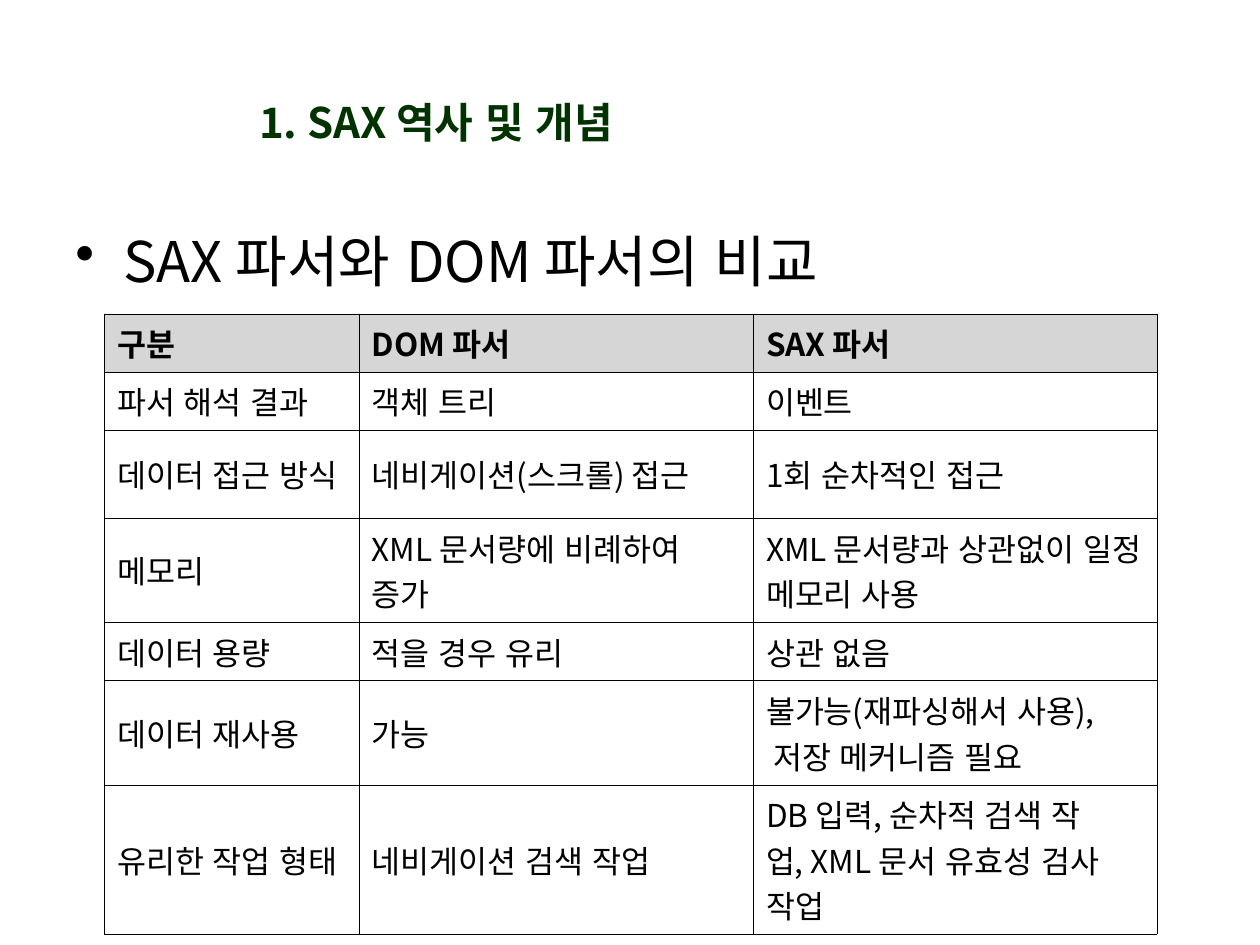
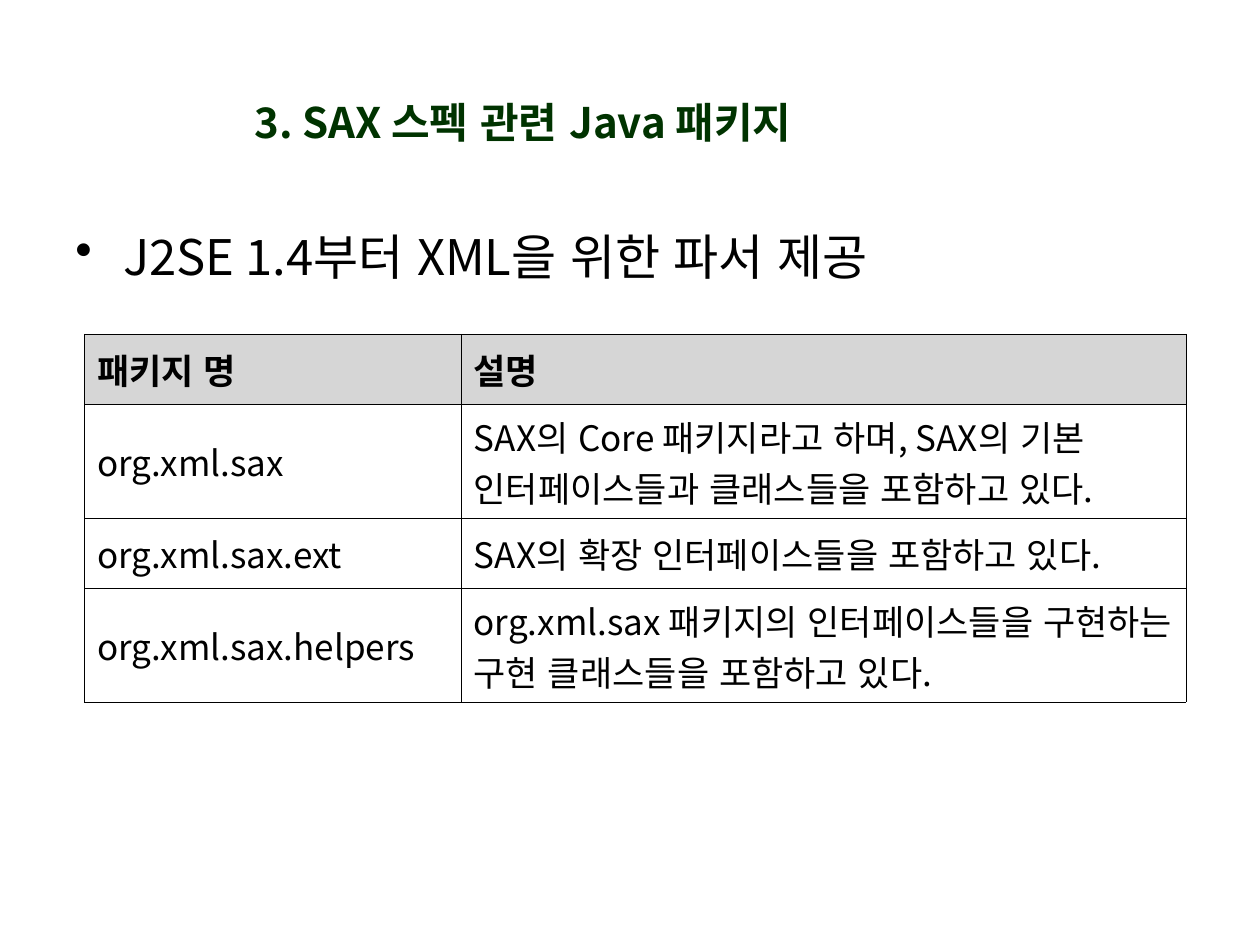
from lxml import etree
from pptx import Presentation
from pptx.dml.color import RGBColor
from pptx.enum.lang import MSO_LANGUAGE_ID
from pptx.enum.text import MSO_ANCHOR, PP_ALIGN
from pptx.oxml.ns import qn
from pptx.util import Inches, Pt

LEFT, CENTER = PP_ALIGN.LEFT, PP_ALIGN.CENTER
MIDDLE, TOP = MSO_ANCHOR.MIDDLE, MSO_ANCHOR.TOP
KOREAN = MSO_LANGUAGE_ID.KOREAN
FONT = "Noto Sans CJK KR"
NBSP = chr(160)  # keeps the words on both sides on one line
COLORS = {"title": "003300", "text": "000000", "border": "000000", "header": "D6D6D6"}

SLIDES = [
    {
        "title": "1. SAX 역사 및 개념",
        "title_left": 0.5, "title_width": 5.92, "title_align": CENTER,
        "bullet": "SAX 파서와 DOM 파서의 비교",
        "bullet_width": 9, "bullet_height": 0.74, "bullet_size": 32, "bullet_before": 8,
        "table_left": 0.83, "table_top": 2.49, "table_size": 18,
        "cols": [2.02, 3.13, 3.2],
        "heights": [0.46, 0.46, 0.7, 0.83, 0.46, 0.83, 1.18],
        "rows": [
            ["구분", f"DOM{NBSP}파서", "SAX 파서"],
            ["파서 해석 결과", "객체 트리", "이벤트"],
            ["데이터 접근 방식", "네비게이션(스크롤) 접근", "1회 순차적인 접근"],
            ["메모리", "XML 문서량에 비례하여 증가", "XML 문서량과 상관없이 일정 메모리 사용"],
            ["데이터 용량", "적을 경우 유리", "상관 없음"],
            ["데이터 재사용", "가능", f"불가능(재파싱해서 사용),{NBSP}저장 메커니즘 필요"],
            ["유리한 작업 형태", "네비게이션 검색 작업",
             f"DB 입력, 순차적 검색 작업,{NBSP}XML 문서 유효성 검사 작업"],
        ],
    },
    {
        "title": "3. SAX 스펙 관련 Java 패키지",
        "title_left": 1.92, "title_width": 6.08, "title_align": LEFT,
        "bullet": "J2SE 1.4부터 XML을 위한 파서 제공",
        "bullet_width": 8.91, "bullet_height": 0.66, "bullet_size": 28, "bullet_before": 7,
        "table_left": 0.67, "table_top": 2.65, "table_size": 20,
        "cols": [2.99, 5.75],
        "heights": [0.56, 0.9, 0.56, 0.9],
        "rows": [
            ["패키지 명", "설명"],
            ["org.xml.sax",
             "SAX의 Core 패키지라고 하며, SAX의 기본 인터페이스들과 클래스들을 포함하고 있다."],
            ["org.xml.sax.ext", "SAX의 확장 인터페이스들을 포함하고 있다."],
            ["org.xml.sax.helpers",
             "org.xml.sax 패키지의 인터페이스들을 구현하는 구현 클래스들을 포함하고 있다."],
        ],
    },
]


def add_run(p, text, size, color, bold=False):
    r = p.add_run()
    r.text = text
    r.font.size = Pt(size)
    r.font.bold = bold
    r.font.name = FONT
    r.font.language_id = KOREAN
    r.font.color.rgb = RGBColor.from_string(COLORS[color])
    rPr = r.font._element
    rPr.set("kern", "0")
    etree.SubElement(rPr, qn("a:ea")).set("typeface", FONT)


def add_text_box(s, left, top, width, height, anchor):
    sp = s.shapes.add_textbox(Inches(left), Inches(top), Inches(width), Inches(height))
    tf = sp.text_frame
    tf.word_wrap = True
    tf.vertical_anchor = anchor
    return tf.paragraphs[0]


prs = Presentation()
prs.slide_width, prs.slide_height = Inches(10), Inches(7.5)

for d in SLIDES:
    s = prs.slides.add_slide(prs.slide_layouts[6])

    # Title
    p = add_text_box(s, d["title_left"], 0.62, d["title_width"], 0.69, MIDDLE)
    p.alignment = d["title_align"]
    add_run(p, d["title"], 24, "title", True)

    # Bullet line
    p = add_text_box(s, 0.5, 1.75, d["bullet_width"], d["bullet_height"], TOP)
    p.space_before = Pt(d["bullet_before"])
    pPr = p._p.get_or_add_pPr()
    pPr.set("marL", str(Inches(0.38)))
    pPr.set("indent", str(-Inches(0.38)))
    clr = etree.SubElement(pPr, qn("a:buClr"))
    etree.SubElement(clr, qn("a:srgbClr")).set("val", COLORS["text"])
    etree.SubElement(pPr, qn("a:buChar")).set("char", "•")
    add_run(p, d["bullet"], d["bullet_size"], "text")

    # Table
    table = s.shapes.add_table(
        len(d["rows"]), len(d["cols"]), Inches(d["table_left"]), Inches(d["table_top"]),
        Inches(sum(d["cols"])), Inches(sum(d["heights"]))).table
    table.horz_banding = False
    for col, width in zip(table.columns, d["cols"]):
        col.width = Inches(width)
    for i, (row, height, texts) in enumerate(zip(table.rows, d["heights"], d["rows"])):
        row.height = Inches(height)
        for cell, text in zip(row.cells, texts):
            cell.vertical_anchor = MIDDLE
            add_run(cell.text_frame.paragraphs[0], text, d["table_size"], "text", i == 0)
            tcPr = cell._tc.get_or_add_tcPr()
            for side in ("lnL", "lnR", "lnT", "lnB"):
                ln = etree.SubElement(tcPr, qn("a:" + side))
                ln.set("w", str(Pt(0.06)))
                fill = etree.SubElement(ln, qn("a:solidFill"))
                etree.SubElement(fill, qn("a:srgbClr")).set("val", COLORS["border"])
            if i == 0:
                cell.fill.solid()
                cell.fill.fore_color.rgb = RGBColor.from_string(COLORS["header"])
            else:
                cell.fill.background()

prs.save("out.pptx")
